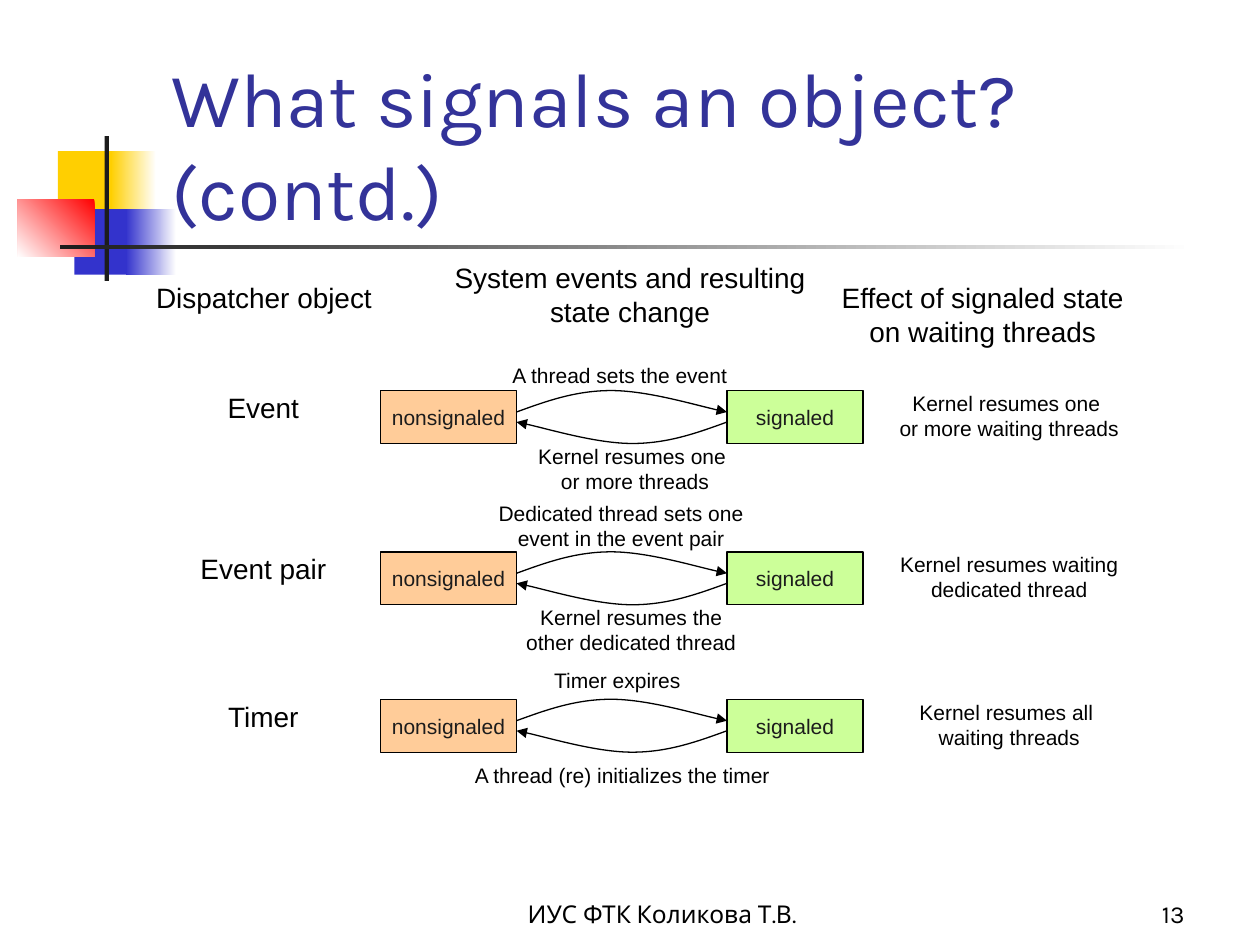
from dataclasses import dataclass
from lxml.etree import SubElement as Sub
from pptx import Presentation
from pptx.dml.color import RGBColor as RGB
from pptx.enum.shapes import MSO_SHAPE as Form
from pptx.enum.text import MSO_ANCHOR as Anchor, MSO_AUTO_SIZE as Auto, PP_ALIGN as Align
from pptx.oxml.ns import qn
from pptx.util import Inches, Pt


@dataclass(frozen=True)
class Theme:
    head: str = "333399"
    ink: str = "000000"
    dark: str = "1C1C1C"
    white: str = "FFFFFF"
    gold: str = "FFCF01"
    blue: str = "3333CC"
    red: str = "FF0000"
    off: str = "FFCC99"
    lit: str = "CCFF99"
    sans: str = "Arial"
    face: str = "Karla"
    big: int = 44
    mid: int = 16
    foot: int = 14
    small: int = 12
    rule: float = 0.75


T = Theme()
COLS, ROWS = 100, 75
WIDE, HIGH = Inches(10), Inches(7.5)
CURVE = [(0, 1), (.14, .5), (.28, 0), (.45, 0), (.62, 0), (.91, .85), (1, 1)]


def place(box):
    x, y, w, h = box
    return [round(v) for v in (x * WIDE / COLS, y * HIGH / ROWS,
                               w * WIDE / COLS, h * HIGH / ROWS)]


def inner(box, x, y, w, h):
    return box[0] + x, box[1] + y, w, h


def write(shape, text, size=T.small, font=T.sans, color=T.ink,
          align=Align.CENTER, anchor=Anchor.TOP, wrap=False):
    frame = shape.text_frame
    frame.auto_size = Auto.NONE
    frame.word_wrap = wrap
    frame.vertical_anchor = anchor
    para = frame.paragraphs[0]
    para.text = text
    para.alignment = align
    for run in para.runs:
        run.font.size = Pt(size)
        run.font.name = font
        run.font.color.rgb = RGB.from_string(color)


def label(slide, text, box, **style):
    write(slide.shapes.add_textbox(*place(box)), text, **style)


def block(slide, box, color, fade=None, angle=180, edge=None):
    shape = slide.shapes.add_shape(Form.RECTANGLE, *place(box))
    shape.shadow.inherit = False
    if fade:
        shape.fill.gradient()
        shape.fill.gradient_angle = angle
        for stop, tone in zip(shape.fill.gradient_stops, (color, fade)):
            stop.color.rgb = RGB.from_string(tone)
    else:
        shape.fill.solid()
        shape.fill.fore_color.rgb = RGB.from_string(color)
    if edge:
        shape.line.color.rgb = RGB.from_string(edge)
        shape.line.width = Pt(T.rule)
    else:
        shape.line.fill.background()
    return shape


def arrow(slide, box, back=False):
    x, y, w, h = place(box)
    turn = [(1 - a, 1 - b) if back else (a, b) for a, b in CURVE]
    dots = [(round(x + a * w), round(y + b * h)) for a, b in turn]
    pen = slide.shapes.build_freeform(*dots[0])
    pen.add_line_segments(dots[1:], close=False)
    shape = pen.convert_to_shape()
    shape.shadow.inherit = False
    shape.fill.background()
    shape.line.color.rgb = RGB.from_string(T.ink)
    shape.line.width = Pt(T.rule)
    Sub(shape.line._get_or_add_ln(), qn("a:tailEnd"), type="triangle")
    trace = next(shape._element.iter(qn("a:path")))
    legs = trace.findall(qn("a:lnTo"))
    for i in range(0, len(legs), 3):
        bend = Sub(trace, qn("a:cubicBezTo"))
        for leg in legs[i:i + 3]:
            bend.append(leg[0])
            trace.remove(leg)


def emblem(slide, box):
    block(slide, inner(box, 3.2, 1.2, 4.8, 5.2), T.gold)
    block(slide, inner(box, 7.4, 1.2, 3.6, 5.2), T.white, T.gold)
    block(slide, inner(box, 4.5, 5.8, 4.6, 5.2), T.blue)
    block(slide, inner(box, 8.6, 5.8, 4, 5.2), T.white, T.blue)
    block(slide, inner(box, 0, 5, 6.1, 4.6), T.red, T.white, 225)
    block(slide, inner(box, 6.9, 0, .35, 11.5), T.dark)
    block(slide, inner(box, 3.4, 8.65, 90, .35), T.white, T.dark)


def heading(slide, box):
    title = slide.shapes.title
    title.left, title.top, title.width, title.height = place(box)
    write(title, "What signals an object? (contd.)", size=T.big, font=T.face,
          color=T.head, align=Align.LEFT, anchor=Anchor.BOTTOM, wrap=True)
    slide.shapes._spTree.append(title._element)


def header(slide, box):
    for text, x, y, w, h in (
            ("Dispatcher object", 0, 1.6, 19.1, 3.7),
            ("System events and resulting\nstate change", 23.7, 0, 29.8, 6.4),
            ("Effect of signaled state\non waiting threads", 54.4, 1.6, 24.4, 6.4)):
        label(slide, text, inner(box, x, y, w, h), size=T.mid)


def states(slide, box, name, above, below, effect):
    label(slide, name, inner(box, 0, -.5, 19, 3.7), size=T.mid)
    for text, x, color in (("nonsignaled", 18.8, T.off), ("signaled", 46.3, T.lit)):
        node = block(slide, inner(box, x, 0, 10.8, box[3]), color, edge=T.ink)
        write(node, text, color=T.dark, anchor=Anchor.MIDDLE)
    arrow(slide, inner(box, 29.6, 0, 16.7, 1.7))
    arrow(slide, inner(box, 29.6, box[3] - 1.7, 16.7, 1.7), back=True)
    for text, mid, y in (above, below):
        label(slide, text, inner(box, mid - 13, y, 26, 5))
    label(slide, effect, inner(box, 59, -.5, 19.4, 5))


def footer(slide, box):
    style = dict(size=T.foot, font=T.face, anchor=Anchor.BOTTOM, wrap=True)
    label(slide, "ИУС ФТК Коликова Т.В.", inner(box, 0, 0, 31.7, box[3]), **style)
    label(slide, "13", inner(box, 37.5, 0, 20.8, box[3]), align=Align.RIGHT, **style)


def main():
    deck = Presentation()
    deck.slide_width, deck.slide_height = WIDE, HIGH
    slide = deck.slides.add_slide(deck.slide_layouts[5])
    emblem(slide, (1.4, 10.8, 93.4, 11.5))
    heading(slide, (12.6, 6.7, 85.2, 12.5))
    header(slide, (11.4, 20.2, 78.8, 8))
    for top, *parts in (
            (31, "Event", ("A thread sets the event", 37.8, -2.7),
             ("Kernel resumes one \nor more threads", 39, 3.7),
             "Kernel resumes one \nor more waiting threads"),
            (43.8, "Event pair",
             ("Dedicated thread sets one\nevent in the event pair", 37.9, -4.6),
             ("Kernel resumes the\nother dedicated thread", 38.7, 3.7),
             "Kernel resumes waiting\ndedicated thread"),
            (55.5, "Timer", ("Timer expires", 37.6, -3),
             ("A thread (re) initializes the timer", 38, 4.5),
             "Kernel resumes all \nwaiting threads")):
        states(slide, (11.4, top, 78.8, 4.2), *parts)
    footer(slide, (36.7, 69.2, 58.3, 5))
    deck.save("out.pptx")


if __name__ == "__main__":
    main()
